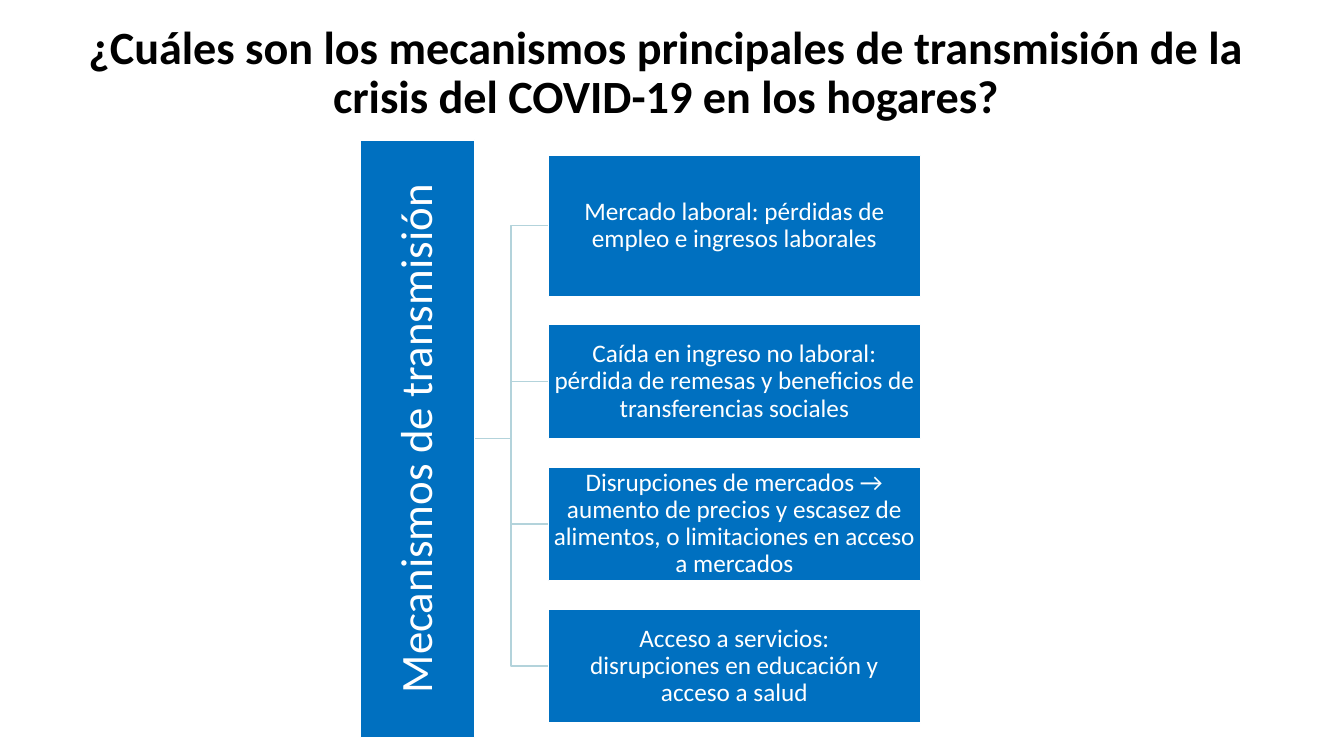
from pptx import Presentation
from pptx.dml.color import RGBColor
from pptx.enum.shapes import MSO_SHAPE
from pptx.enum.text import MSO_ANCHOR, PP_ALIGN
from pptx.util import Pt

RECTANGLE = MSO_SHAPE.RECTANGLE
MIDDLE = MSO_ANCHOR.MIDDLE
CENTER = PP_ALIGN.CENTER

BLUE = RGBColor(0x00, 0x70, 0xC0)
PALE_BLUE = RGBColor(0xB3, 0xD3, 0xDB)
WHITE = RGBColor(0xFF, 0xFF, 0xFF)
BLACK = RGBColor(0x00, 0x00, 0x00)
FONT = "Calibri"

TITLE = ("¿Cuáles son los mecanismos principales de transmisión de la "
         "crisis del COVID-19 en los hogares?")
ROOT = "Mecanismos de transmisión"
# Branch text (\v is a line break) and box height
BRANCHES = [
    ("Mercado laboral: pérdidas de empleo e ingresos laborales", 100.8),
    ("Caída en ingreso no laboral:\vpérdida de remesas y beneficios de "
     "transferencias sociales", 81.4),
    ("Disrupciones de mercados → aumento de precios y escasez de alimentos, "
     "o limitaciones en acceso a mercados", 81.4),
    ("Acceso a servicios:\vdisrupciones en educación y\vacceso a salud", 81.4),
]

ROOT_LENGTH, ROOT_THICKNESS = 427, 81.4
ROOT_X, ROOT_Y = 298.4, 313.4
BRANCH_LEFT, BRANCH_TOP, BRANCH_WIDTH, BRANCH_GAP = 391.7, 110.9, 265.7, 20.2
STEM_LEFT = 338.6


def write(shape, text, size, color, bold=False):
    """Put one centred paragraph in a shape."""
    frame = shape.text_frame
    frame.word_wrap = True
    frame.text = text
    para = frame.paragraphs[0]
    para.alignment = CENTER
    para.line_spacing = 0.9
    for span in para.runs:
        span.font.name = FONT
        span.font.size = Pt(size)
        span.font.bold = bold
        span.font.color.rgb = color


def add_box(page, left, top, width, height, text, size, inset):
    """Add a blue box with white text and return it."""
    box = page.shapes.add_shape(RECTANGLE, Pt(left), Pt(top), Pt(width), Pt(height))
    box.shadow.inherit = False
    box.fill.solid()
    box.fill.fore_color.rgb = BLUE
    box.line.color.rgb = WHITE
    box.line.width = Pt(1)
    write(box, text, size, WHITE)
    frame = box.text_frame
    frame.vertical_anchor = MIDDLE
    frame.margin_left = frame.margin_right = Pt(inset)
    frame.margin_top = frame.margin_bottom = Pt(inset)
    return box


def add_elbow(page, end_y):
    """Draw the elbow line from the root to a branch centre."""
    bend = (STEM_LEFT + BRANCH_LEFT) / 2
    builder = page.shapes.build_freeform(Pt(STEM_LEFT), Pt(ROOT_Y))
    points = [(bend, ROOT_Y), (bend, end_y), (BRANCH_LEFT, end_y)]
    builder.add_line_segments([(Pt(x), Pt(y)) for x, y in points], close=False)
    elbow = builder.convert_to_shape()
    elbow.shadow.inherit = False
    elbow.fill.background()
    elbow.line.color.rgb = PALE_BLUE
    elbow.line.width = Pt(1)


deck = Presentation()
deck.slide_width, deck.slide_height = Pt(960), Pt(540)
page = deck.slides.add_slide(deck.slide_layouts[6])

tops = []
next_top = BRANCH_TOP
for _, height in BRANCHES:
    tops.append(next_top)
    next_top += height + BRANCH_GAP

for top, (_, height) in reversed(list(zip(tops, BRANCHES))):
    add_elbow(page, top + height / 2)

root = add_box(page, ROOT_X - ROOT_LENGTH / 2, ROOT_Y - ROOT_THICKNESS / 2,
               ROOT_LENGTH, ROOT_THICKNESS, ROOT, 32, 1.4)
root.rotation = 270

for top, (text, height) in zip(tops, BRANCHES):
    add_box(page, BRANCH_LEFT, top, BRANCH_WIDTH, height, text, 18, 0.9)

title = page.shapes.add_textbox(Pt(21.6), Pt(13.7), Pt(908.6), Pt(80))
write(title, TITLE, 33, BLACK, bold=True)

deck.save("out.pptx")
